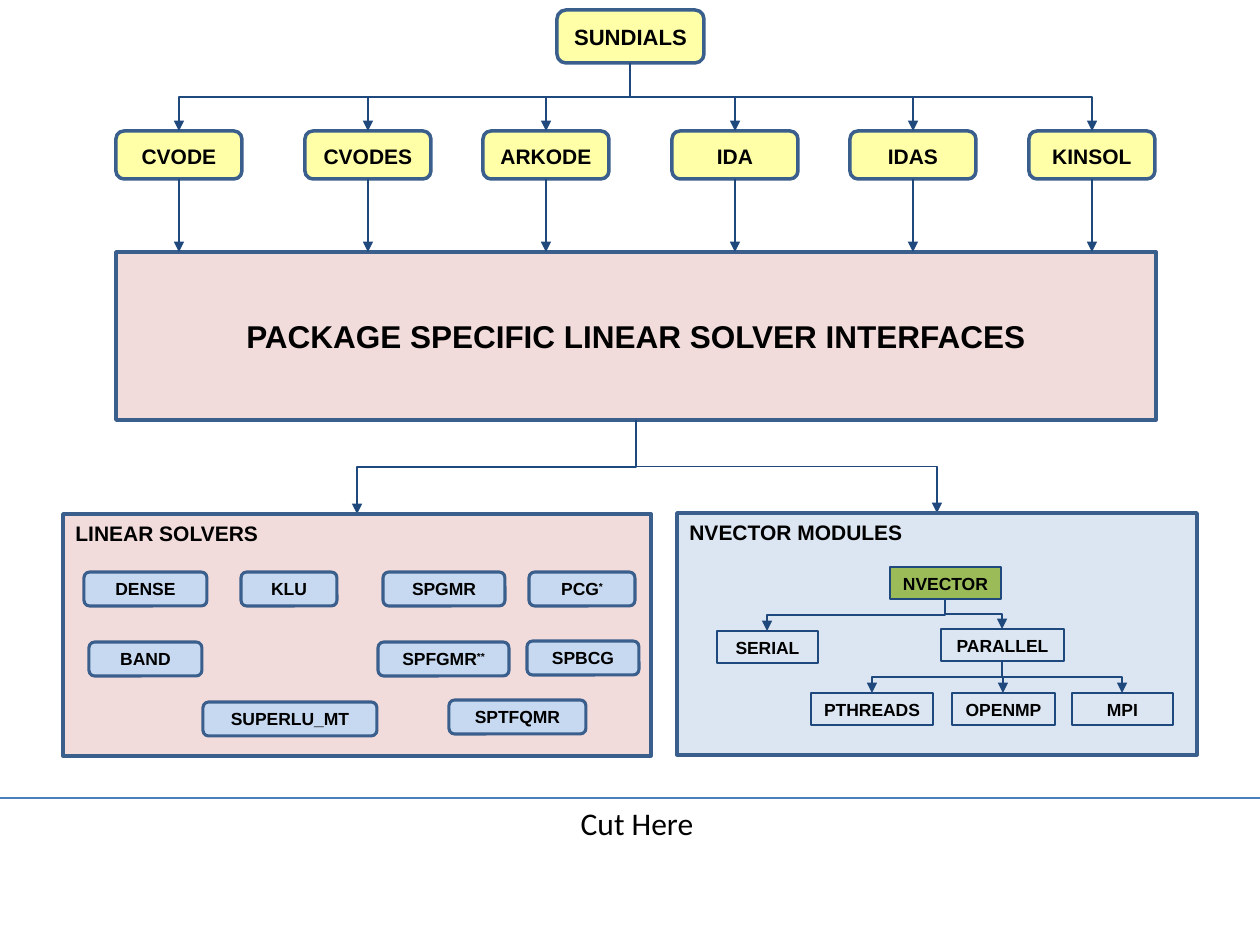
from dataclasses import dataclass
from lxml.etree import SubElement
from pptx import Presentation
from pptx.dml.color import RGBColor
from pptx.enum.shapes import MSO_CONNECTOR, MSO_SHAPE
from pptx.enum.text import MSO_ANCHOR, PP_ALIGN
from pptx.oxml.ns import qn
from pptx.util import Emu, Pt

WIDTH, HEIGHT = 1260, 945
EMU_PER_PIXEL = 914400 / 126


@dataclass(frozen=True)
class Theme:
    font: str = "Arial"
    cut_font: str = "Calibri"
    text: str = "000000"
    border: str = "3A5F8C"
    arrow: str = "1F497D"
    cut_line: str = "4B7EBC"
    yellow: str = "FFFF00"
    yellow_alpha: int = 34
    pink: str = "F2DCDB"
    pale_blue: str = "DCE6F2"
    blue: str = "C6D9F1"
    green: str = "9BBB59"
    root_size: float = 12.6
    heading_size: float = 12
    banner_size: float = 18
    node_size: float = 10


THEME = Theme()

# Boxes: left, top, width, height
ROOT = (557, 10, 147, 53)
PACKAGES = {"CVODE": 116, "CVODES": 305, "ARKODE": 483,
            "IDA": 672, "IDAS": 850, "KINSOL": 1029}
PACKAGE_TOP, PACKAGE_WIDTH, PACKAGE_HEIGHT = 131, 126, 48
INTERFACES = (116, 252, 1040, 168)
SOLVER_PANEL = (63, 514, 588, 242)
VECTOR_PANEL = (677, 513, 520, 242)
NODE_HEIGHT, SOLVER_HEIGHT = 32, 34

# Nodes: left, top, width
VECTOR_NODES = {
    "NVECTOR": (890, 567, 111),
    "SERIAL": (717, 631, 101),
    "PARALLEL": (941, 629, 123),
    "PTHREADS": (811, 693, 122),
    "OPENMP": (952, 693, 103),
    "MPI": (1072, 693, 101),
}
VECTOR_TREE = {"NVECTOR": ("SERIAL", "PARALLEL"),
               "PARALLEL": ("PTHREADS", "OPENMP", "MPI")}
SOLVERS = {
    "DENSE": (84, 572, 123), "KLU": (241, 572, 96),
    "SPGMR": (383, 572, 122), "PCG*": (529, 572, 106),
    "BAND": (89, 642, 113), "SPFGMR**": (378, 642, 131),
    "SPBCG": (527, 641, 112),
    "SUPERLU_MT": (203, 702, 174), "SPTFQMR": (449, 700, 137),
}


def px(value):
    return Emu(round(value * EMU_PER_PIXEL))


def top_center(box):
    return box[0] + box[2] // 2, box[1]


def bottom_center(box):
    return box[0] + box[2] // 2, box[1] + box[3]


def format_runs(paragraph, size, font, bold):
    for run in paragraph.runs:
        run.font.size = Pt(size)
        run.font.name = font
        run.font.bold = bold
        run.font.color.rgb = RGBColor.from_string(THEME.text)


def add_box(slide, box, label, size, fill=None, border=THEME.border, line_width=2,
            rounded=False, alpha=None, heading=False, spacing=None):
    """Add a bordered box; trailing asterisks in the label become superscript."""
    kind = MSO_SHAPE.ROUNDED_RECTANGLE if rounded else MSO_SHAPE.RECTANGLE
    shape = slide.shapes.add_shape(kind, *map(px, box))
    shape.shadow.inherit = False
    shape.line.color.rgb = RGBColor.from_string(border)
    shape.line.width = Pt(line_width)
    if fill:
        shape.fill.solid()
        shape.fill.fore_color.rgb = RGBColor.from_string(fill)
    else:
        shape.fill.background()
    if alpha:
        color = shape.element.spPr.find(qn("a:solidFill"))[0]
        SubElement(color, qn("a:alpha")).set("val", str(alpha * 1000))

    text_frame = shape.text_frame
    text_frame.word_wrap = heading
    text_frame.vertical_anchor = MSO_ANCHOR.TOP if heading else MSO_ANCHOR.MIDDLE
    name = label.rstrip("*")
    text_frame.text = name
    paragraph = text_frame.paragraphs[0]
    paragraph.alignment = PP_ALIGN.LEFT if heading else PP_ALIGN.CENTER
    paragraph.line_spacing = spacing
    if name != label:
        mark = paragraph.add_run()
        mark.text = label[len(name):]
        mark.font._element.set("baseline", "30000")
    format_runs(paragraph, size, THEME.font, True)


def add_line(slide, kind, start, end, color=THEME.arrow, width=1, arrow=True):
    connector = slide.shapes.add_connector(kind, *map(px, (*start, *end)))
    connector.line.color.rgb = RGBColor.from_string(color)
    connector.line.width = Pt(width)
    SubElement(connector.element.spPr, qn("a:effectLst"))
    if arrow:
        line = connector.element.spPr.find(qn("a:ln"))
        SubElement(line, qn("a:tailEnd")).set("type", "triangle")
    return connector


def add_branch(slide, start, end):
    """Add an elbow arrow that leaves and arrives vertically."""
    (x1, y1), (x2, y2) = start, end
    run, drop = abs(x2 - x1), y2 - y1
    left, top = (x1 + x2 - drop) / 2, (y1 + y2 - run) / 2
    to_right = x2 > x1
    near, far = (left + drop, left) if to_right else (left, left + drop)
    connector = add_line(slide, MSO_CONNECTOR.ELBOW, (near, top), (far, top + run))
    degrees = 270 if to_right else 90
    connector.element.spPr.find(qn("a:xfrm")).set("rot", str(degrees * 60000))


def add_packages(slide):
    add_box(slide, ROOT, "SUNDIALS", THEME.root_size, THEME.yellow,
            rounded=True, alpha=THEME.yellow_alpha)
    add_box(slide, INTERFACES, "PACKAGE SPECIFIC LINEAR SOLVER INTERFACES",
            THEME.banner_size, THEME.pink)
    for name, left in PACKAGES.items():
        box = (left, PACKAGE_TOP, PACKAGE_WIDTH, PACKAGE_HEIGHT)
        add_box(slide, box, name, THEME.heading_size, THEME.yellow,
                rounded=True, alpha=THEME.yellow_alpha, spacing=1.1)
        add_branch(slide, bottom_center(ROOT), top_center(box))
        start = bottom_center(box)
        add_line(slide, MSO_CONNECTOR.STRAIGHT, start, (start[0], INTERFACES[1]))


def add_vector_modules(slide):
    add_box(slide, VECTOR_PANEL, "NVECTOR MODULES", THEME.heading_size,
            THEME.pale_blue, heading=True)
    boxes = {name: (*place, NODE_HEIGHT) for name, place in VECTOR_NODES.items()}
    for name, box in boxes.items():
        fill = THEME.green if name == "NVECTOR" else None
        add_box(slide, box, name, THEME.node_size, fill, THEME.arrow, 1.5)
    for parent, children in VECTOR_TREE.items():
        for child in children:
            add_branch(slide, bottom_center(boxes[parent]), top_center(boxes[child]))


def add_linear_solvers(slide):
    add_box(slide, SOLVER_PANEL, "LINEAR SOLVERS", THEME.heading_size,
            THEME.pink, heading=True)
    for name, place in SOLVERS.items():
        add_box(slide, (*place, SOLVER_HEIGHT), name, THEME.node_size,
                THEME.blue, line_width=1.75, rounded=True)


def add_cut_mark(slide):
    add_line(slide, MSO_CONNECTOR.STRAIGHT, (0, 798), (WIDTH, 798),
             THEME.cut_line, 0.75, arrow=False)
    shape = slide.shapes.add_textbox(*map(px, (483, 798, 308, 51)))
    shape.text_frame.word_wrap = True
    shape.text_frame.text = "Cut Here"
    paragraph = shape.text_frame.paragraphs[0]
    paragraph.alignment = PP_ALIGN.CENTER
    format_runs(paragraph, THEME.banner_size, THEME.cut_font, False)


def main():
    presentation = Presentation()
    presentation.slide_width, presentation.slide_height = px(WIDTH), px(HEIGHT)
    slide = presentation.slides.add_slide(presentation.slide_layouts[6])

    # Packages and their interfaces
    add_packages(slide)
    for panel in (SOLVER_PANEL, VECTOR_PANEL):
        add_branch(slide, bottom_center(INTERFACES), top_center(panel))

    # Lower panels and cut mark
    add_vector_modules(slide)
    add_cut_mark(slide)
    add_linear_solvers(slide)
    presentation.save("out.pptx")


main()
